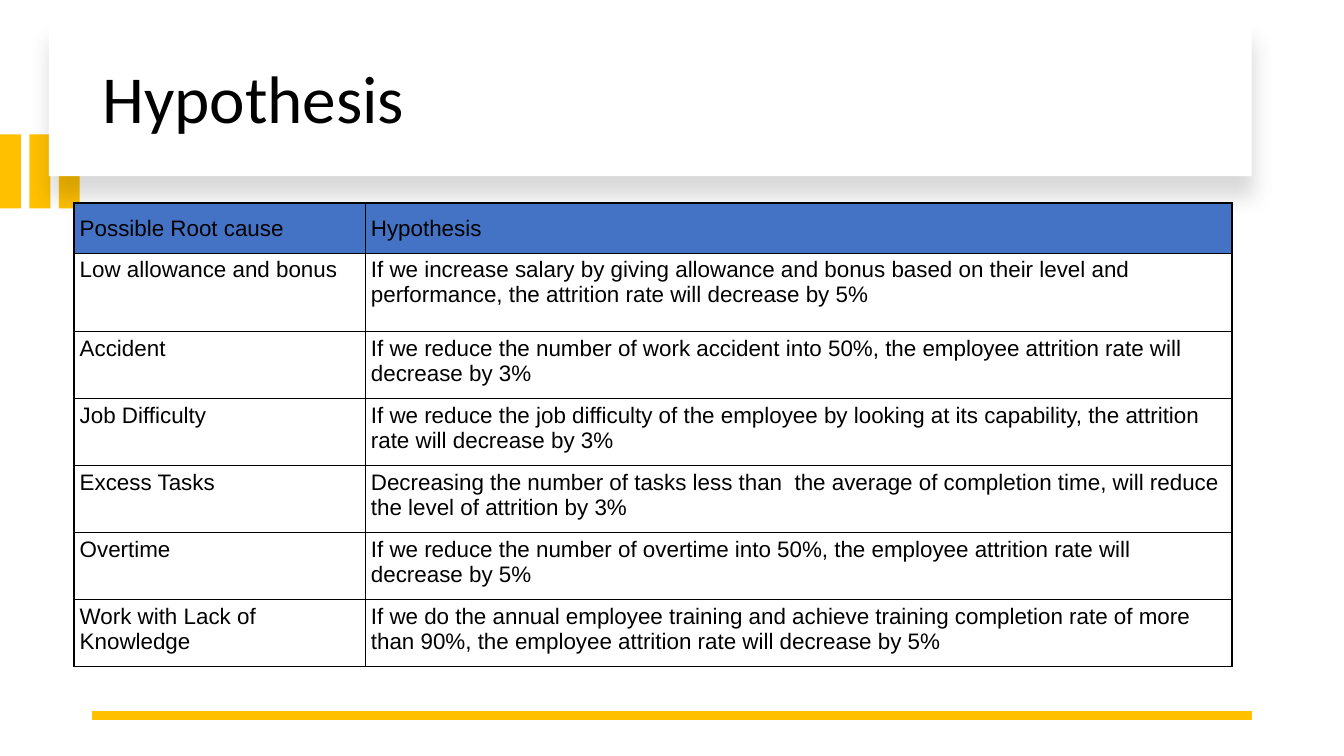
"""Build the hypothesis slide: a raised title panel above a root cause table."""
from lxml import etree
from pptx import Presentation
from pptx import util as u
from pptx.dml.color import RGBColor
from pptx.enum import shapes, text
from pptx.oxml import parse_xml
from pptx.oxml.ns import nsdecls, qn

GOLD = RGBColor(0xFF, 0xC0, 0x00)
BLUE = RGBColor(0x44, 0x72, 0xC4)
WHITE = RGBColor(0xFF, 0xFF, 0xFF)
BLACK = RGBColor(0x00, 0x00, 0x00)

TITLE = "Hypothesis"
ROWS = [
    ("Possible Root cause", "Hypothesis"),
    ("Low allowance and bonus",
     "If we increase salary by giving allowance and bonus based on their level "
     "and performance, the attrition rate will decrease by 5%"),
    ("Accident",
     "If we reduce the number of work accident into 50%, the employee attrition "
     "rate will decrease by 3%"),
    ("Job Difficulty",
     "If we reduce the job difficulty of the employee by looking at its "
     "capability, the attrition rate will decrease by 3%"),
    ("Excess Tasks",
     "Decreasing the number of tasks less than  the average of completion time, "
     "will reduce the level of attrition by 3%"),
    ("Overtime",
     "If we reduce the number of overtime into 50%, the employee attrition rate "
     "will decrease by 5%"),
    ("Work with Lack of Knowledge",
     "If we do the annual employee training and achieve training completion rate "
     "of more than 90%, the employee attrition rate will decrease by 5%"),
]
COLUMN_WIDTHS = [208, 619]
ROW_HEIGHTS = [36, 56] + [38] * 5
BAR_COUNT, BAR_STEP = 3, 21


def px(*lengths):
    """Turn lengths at 96 px to the inch into EMU."""
    return [u.Emu(length * 9525) for length in lengths]


def add_block(parent, place, color):
    """Add a plain rectangle without outline or shadow."""
    block = parent.add_shape(shapes.MSO_SHAPE.RECTANGLE, *px(*place))
    block.shadow.inherit = False
    block.fill.solid()
    block.fill.fore_color.rgb = color
    block.line.fill.background()
    return block


def add_panel(page):
    """Add the white panel with its soft shadow below."""
    panel = add_block(page.shapes, (35, 16, 859, 110), WHITE)
    effects = panel.element.spPr.find(qn("a:effectLst"))
    effects.append(parse_xml(
        f'<a:outerShdw {nsdecls("a")} blurRad="{u.Pt(11)}" dist="{u.Pt(10)}" '
        'dir="5400000" algn="t" rotWithShape="0"><a:srgbClr val="000000">'
        '<a:alpha val="15000"/></a:srgbClr></a:outerShdw>'))


def style_span(span, font_name, size):
    """Set the font of a run."""
    span.font.name = font_name
    span.font.size = u.Pt(size)
    span.font.color.rgb = BLACK


def place_title(page):
    """Format the title placeholder and bring it in front of the panel."""
    title = page.shapes.title
    title.left, title.top, title.width, title.height = px(66, 28, 801, 90)
    frame = title.text_frame
    frame.text = TITLE
    frame.auto_size = text.MSO_AUTO_SIZE.NONE
    frame.vertical_anchor = text.MSO_ANCHOR.MIDDLE
    frame.margin_left, frame.margin_right = px(7, 7)
    frame.margin_top, frame.margin_bottom = px(4, 4)
    para = frame.paragraphs[0]
    para.alignment = text.PP_ALIGN.LEFT
    para.line_spacing = 0.9
    style_span(para.runs[0], "Calibri", 36)
    title.element.getparent().append(title.element)


def add_rule(page):
    """Add the gold line along the foot of the slide."""
    rule = page.shapes.add_connector(
        shapes.MSO_CONNECTOR.STRAIGHT, *px(894, 511, 66, 511))
    rule.line.color.rgb = GOLD
    rule.line.width = u.Pt(4.5)
    etree.SubElement(rule.element.spPr, qn("a:effectLst"))


def border_cell(cell):
    """Draw a thin black border on all four sides, ahead of the fill."""
    properties = cell._tc.get_or_add_tcPr()
    for index, side in enumerate(("lnL", "lnR", "lnT", "lnB")):
        properties.insert(index, parse_xml(
            f'<a:{side} {nsdecls("a")} w="{u.Pt(1)}"><a:solidFill>'
            f'<a:srgbClr val="{BLACK}"/></a:solidFill></a:{side}>'))


def add_hypotheses(page):
    """Add the table of root causes and hypotheses."""
    table = page.shapes.add_table(
        len(ROWS), len(COLUMN_WIDTHS),
        *px(53, 145, sum(COLUMN_WIDTHS), sum(ROW_HEIGHTS))).table
    table.first_row = table.horz_banding = False
    for column, width in zip(table.columns, px(*COLUMN_WIDTHS)):
        column.width = width
    for row, height in zip(table.rows, px(*ROW_HEIGHTS)):
        row.height = height
    for row_index, values in enumerate(ROWS):
        for column_index, value in enumerate(values):
            cell = table.cell(row_index, column_index)
            cell.text = value
            cell.margin_left, cell.margin_right = px(4, 4)
            cell.margin_top, cell.margin_bottom = px(3, 9)
            style_span(cell.text_frame.paragraphs[0].runs[0], "Arial", 12)
            if row_index == 0:
                cell.vertical_anchor = text.MSO_ANCHOR.BOTTOM
                cell.fill.solid()
                cell.fill.fore_color.rgb = BLUE
            else:
                cell.fill.background()
            border_cell(cell)


def main():
    """Assemble and save the deck."""
    deck = Presentation()
    deck.slide_width, deck.slide_height = px(960, 540)
    page = deck.slides.add_slide(deck.slide_layouts[5])
    bars = page.shapes.add_group_shape()
    for index in range(BAR_COUNT):
        add_block(bars.shapes, (index * BAR_STEP, 96, 15, 53), GOLD)
    add_panel(page)
    place_title(page)
    add_rule(page)
    add_hypotheses(page)
    deck.save("out.pptx")


if __name__ == "__main__":
    main()
